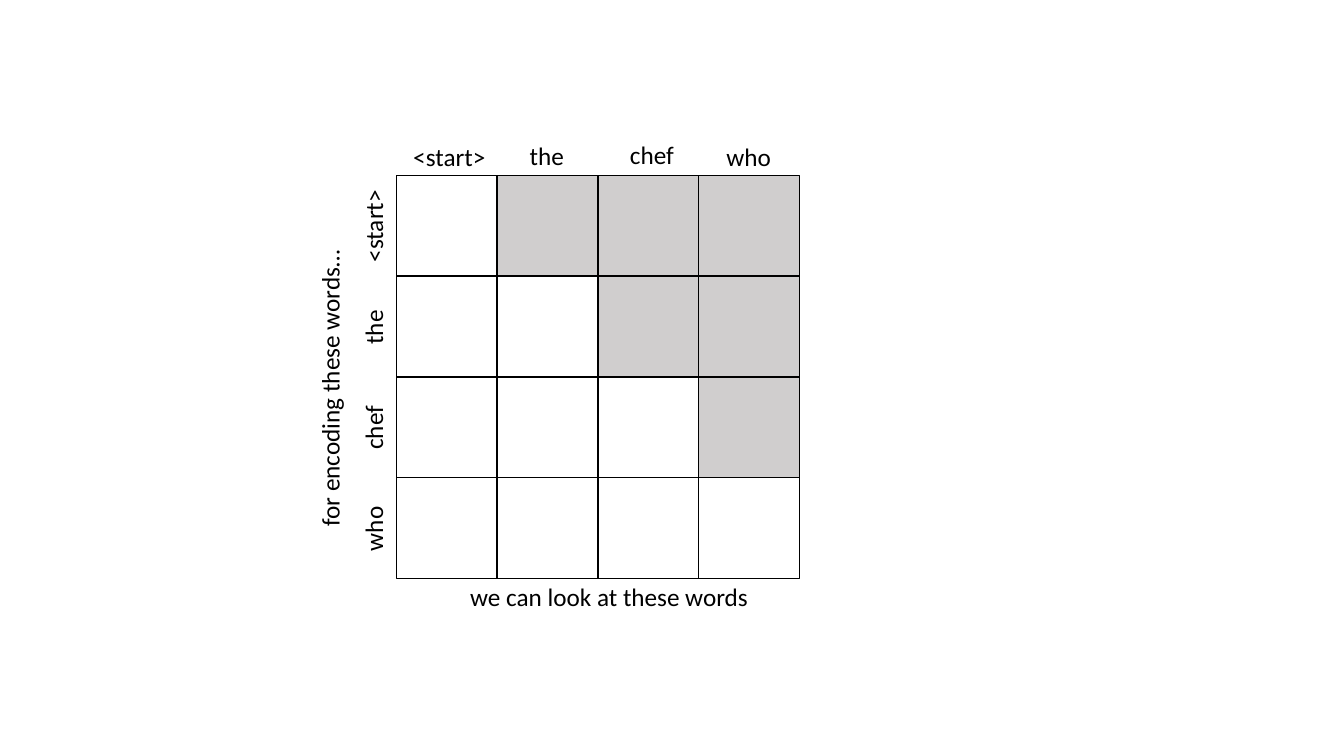
from pptx import Presentation
from pptx.dml.color import RGBColor
from pptx.enum.shapes import MSO_SHAPE as Shape
from pptx.enum.text import MSO_AUTO_SIZE as AutoSize
from pptx.util import Inches, Pt

COLORS = {"ink": "000000", "masked": "D0CECE"}
FONT = "Calibri"
CELL = 1.0
LABEL_H = 0.4
CAPTION_W = 2.99

# Each word with its label width and the centre of its column label,
# measured from the middle of the cell's top edge
WORDS = [
    ("<start>", 0.92, 0.03, -0.19),
    ("the", 0.55, 0, -0.2),
    ("chef", 0.64, 0.04, -0.21),
    ("who", 0.65, 0, -0.19),
]


def color(name):
    return RGBColor.from_string(COLORS[name])


def add_label(slide, text, cx, cy, width, rotation=0):
    """Place one line of text around its centre."""
    tb = slide.shapes.add_textbox(Inches(cx - width / 2), Inches(cy - LABEL_H / 2),
                                  Inches(width), Inches(LABEL_H))
    tb.rotation = rotation
    tf = tb.text_frame
    tf.word_wrap = False
    tf.auto_size = AutoSize.SHAPE_TO_FIT_TEXT
    p = tf.paragraphs[0]
    p.text = text
    p.font.name = FONT
    p.font.size = Pt(18)
    p.font.color.rgb = color("ink")


def add_mask_grid(slide, left, top):
    """Draw the square grid, shading each word's future words."""
    for row in range(len(WORDS)):
        for col in range(len(WORDS)):
            s = slide.shapes.add_shape(Shape.RECTANGLE, Inches(left + col * CELL),
                                       Inches(top + row * CELL), Inches(CELL), Inches(CELL))
            s.shadow.inherit = False
            s.line.color.rgb = color("ink")
            s.line.width = Pt(1)
            if col > row:
                s.fill.solid()
                s.fill.fore_color.rgb = color("masked")
            else:
                s.fill.background()


def add_word_labels(slide, left, top):
    """Name the columns above the grid and the rows beside it."""
    for i, (word, width, dx, dy) in enumerate(WORDS):
        middle = (i + 0.5) * CELL
        add_label(slide, word, left + middle + dx, top + dy, width)
        add_label(slide, word, left - 0.23, top + middle, width, rotation=270)


def add_captions(slide, left, top):
    """Explain the rows and the columns."""
    half = len(WORDS) * CELL / 2
    add_label(slide, "for encoding these words…", left - 0.66, top + half + 0.09,
              CAPTION_W, rotation=270)
    add_label(slide, "we can look at these words", left + half + 0.13,
              top + 2 * half + 0.18, CAPTION_W)


def main():
    prs = Presentation()
    prs.slide_width, prs.slide_height = Inches(13.33), Inches(7.5)
    slide = prs.slides.add_slide(prs.slide_layouts[6])
    left, top = 3.93, 1.74
    add_mask_grid(slide, left, top)
    add_word_labels(slide, left, top)
    add_captions(slide, left, top)
    prs.save("out.pptx")


if __name__ == "__main__":
    main()
